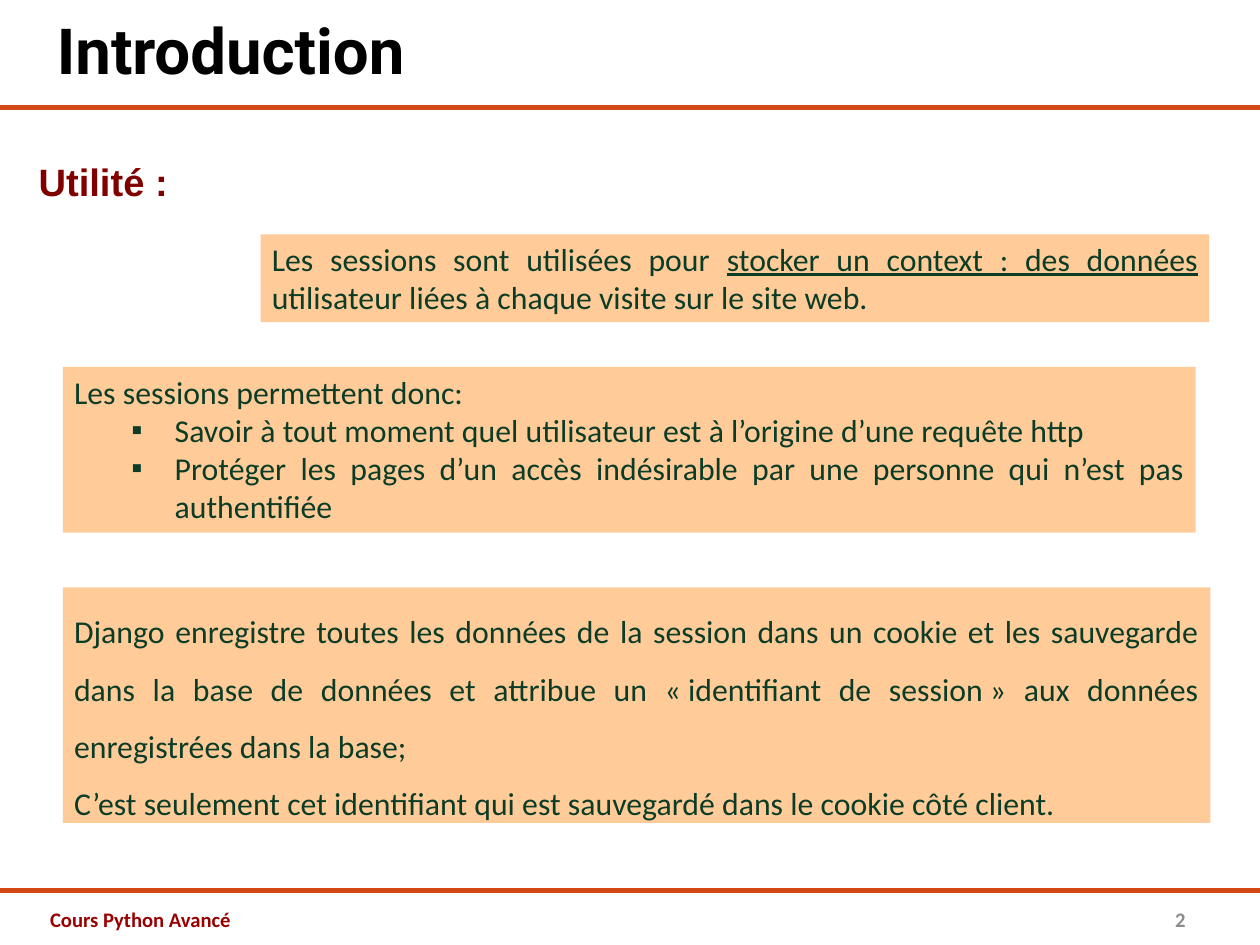
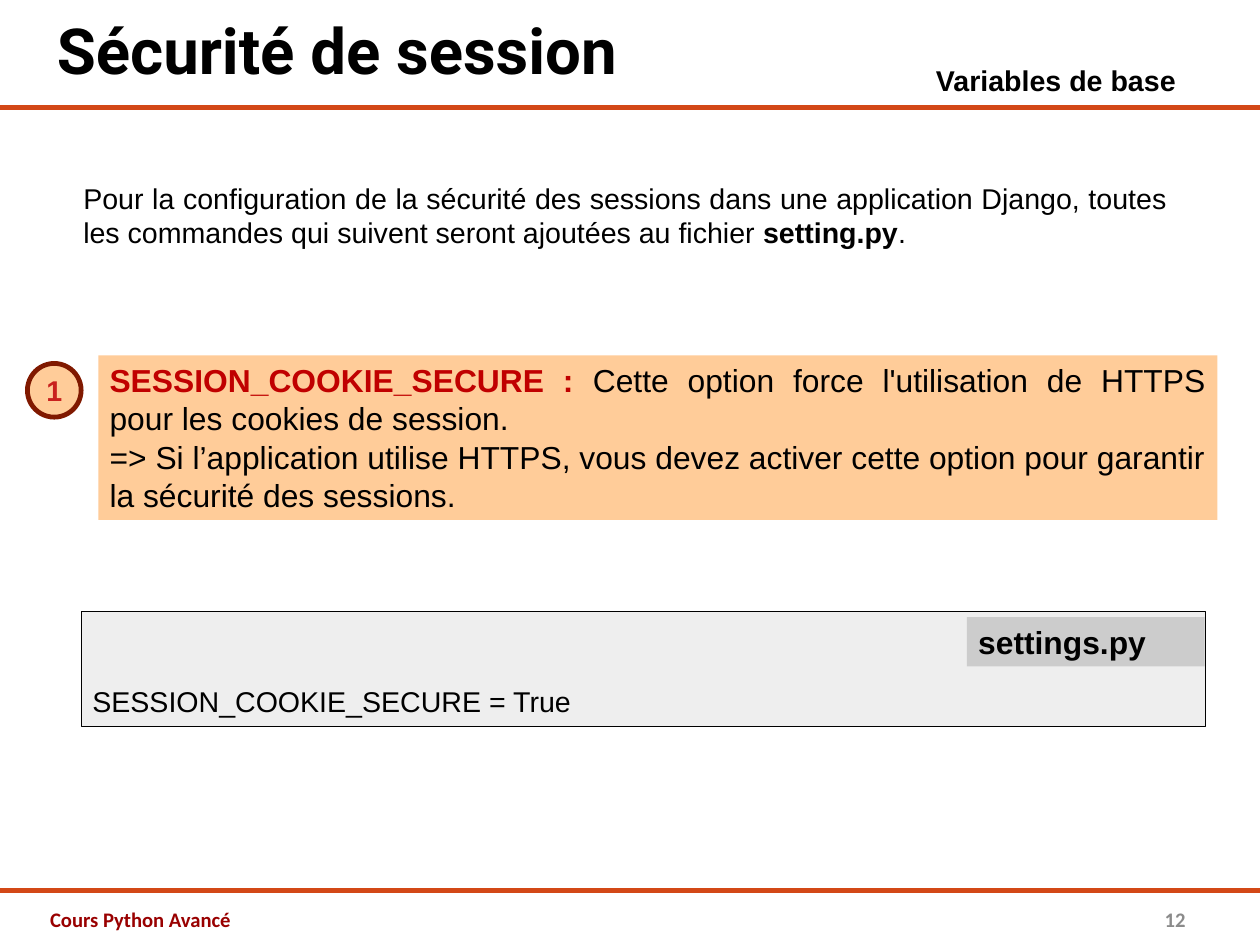
from pptx import Presentation
from pptx.dml.color import RGBColor
from pptx.enum.shapes import MSO_CONNECTOR, MSO_SHAPE
from pptx.enum.text import MSO_ANCHOR, PP_ALIGN
from pptx.oxml.ns import qn
from pptx.util import Cm, Inches, Pt
from lxml import etree

RECT, OVAL = MSO_SHAPE.RECTANGLE, MSO_SHAPE.OVAL
STRAIGHT = MSO_CONNECTOR.STRAIGHT
TOP, MIDDLE, BOTTOM = MSO_ANCHOR.TOP, MSO_ANCHOR.MIDDLE, MSO_ANCHOR.BOTTOM
LEFT, CENTER, RIGHT, JUSTIFY = (
    PP_ALIGN.LEFT, PP_ALIGN.CENTER, PP_ALIGN.RIGHT, PP_ALIGN.JUSTIFY)

BLACK = RGBColor(0x00, 0x00, 0x00)
ORANGE = RGBColor(0xD3, 0x48, 0x17)
PEACH = RGBColor(0xFF, 0xCC, 0x99)
GREEN = RGBColor(0x0C, 0x3C, 0x26)
WINE = RGBColor(0x99, 0x00, 0x00)
MAROON = RGBColor(0x80, 0x00, 0x00)
BROWN = RGBColor(0x80, 0x19, 0x00)
RED = RGBColor(0xC0, 0x00, 0x00)
SCARLET = RGBColor(0xC9, 0x21, 0x1E)
GREY = RGBColor(0x8B, 0x8B, 0x8B)
PALE = RGBColor(0xEE, 0xEE, 0xEE)
SILVER = RGBColor(0xCC, 0xCC, 0xCC)

HARD = chr(160)  # no-break space, used inside French quotes


def write(slide, box, paras, kind=None, fill=None, line=None, weight=3,
          size=18, font="Arial", color=BLACK, bold=False, align=LEFT,
          anchor=TOP, spacing=None, bullets=(), foot=0.05, wrap=True):
    """Add a box of text; a paragraph is a string or a list of (text, format)."""
    place = [Inches(n) for n in box]
    if kind is None:
        shape = slide.shapes.add_textbox(*place)
    else:
        shape = slide.shapes.add_shape(kind, *place)
        shape.shadow.inherit = False
        shape.fill.solid()
        shape.fill.fore_color.rgb = fill
        if line is None:
            shape.line.fill.background()
        else:
            shape.line.color.rgb = line
            shape.line.width = Pt(weight)
    frame = shape.text_frame
    frame.word_wrap = wrap
    frame.vertical_anchor = anchor
    frame.margin_bottom = Inches(foot)
    for i, runs in enumerate(paras):
        para = frame.add_paragraph() if i else frame.paragraphs[0]
        para.alignment = align
        if spacing:
            para.line_spacing = spacing
        if i in bullets:
            para.level = 1
            props = para._p.get_or_add_pPr()
            props.set("marL", str(Inches(0.88)))
            props.set("indent", str(Inches(-0.38)))
            etree.SubElement(props, qn("a:buFont")).set("typeface", "Arial")
            etree.SubElement(props, qn("a:buChar")).set("char", "▪")
        for text, style in [(runs, {})] if isinstance(runs, str) else runs:
            run = para.add_run()
            run.text = text
            run.font.name = font
            run.font.size = Pt(size)
            run.font.bold = style.get("bold", bold)
            run.font.underline = style.get("under", False)
            run.font.color.rgb = style.get("color", color)


deck = Presentation()
deck.slide_width, deck.slide_height = Cm(28), Cm(21)

# Title, rules and footer on every slide
slides = []
for title, number in [("Introduction", "2"), ("Sécurité de session", "12")]:
    slide = deck.slides.add_slide(deck.slide_layouts[6])
    slides.append(slide)
    write(slide, (0.4, -0.01, 9.55, 0.87), [title], size=40, font="Roboto",
          bold=True, anchor=BOTTOM, foot=0.1)
    for y in (0.94, 7.79):
        rule = slide.shapes.add_connector(
            STRAIGHT, 0, Inches(y), deck.slide_width, Inches(y))
        rule.line.color.rgb = ORANGE
        rule.line.width = Pt(3)
        etree.SubElement(rule._element.spPr, qn("a:effectLst"))
    small = dict(size=13, font="Calibri", bold=True, anchor=MIDDLE)
    write(slide, (0.34, 7.85, 3.49, 0.39), ["Cours Python Avancé"],
          color=WINE, **small)
    write(slide, (7.9, 7.85, 2.57, 0.39), [number],
          color=GREY, align=RIGHT, **small)

intro, secure = slides
panel = dict(kind=RECT, fill=PEACH, size=20, align=JUSTIFY)

# Introduction
note = dict(panel, font="Calibri", color=GREEN)
write(intro, (2.28, 2.05, 8.3, 0.77), [[
    ("Les sessions sont utilisées pour ", {}),
    ("stocker un context : des données ", {"under": True}),
    ("utilisateur liées à chaque visite sur le site web.", {}),
]], **note)
write(intro, (0.24, 1.34, 3.07, 0.5), ["Utilité :"],
      size=24, color=MAROON, bold=True)
write(intro, (0.55, 3.21, 9.91, 1.45), [
    "Les sessions permettent donc:",
    "Savoir à tout moment quel utilisateur est à l’origine d’une requête http",
    "Protéger les pages d’un accès indésirable par une personne "
    "qui n’est pas authentifiée",
], bullets=(1, 2), **note)
write(intro, (0.55, 5.14, 10.04, 2.06), [
    "Django enregistre toutes les données de la session dans un cookie et les "
    "sauvegarde dans la base de données et attribue un "
    f"«{HARD}identifiant de session{HARD}» aux données enregistrées "
    "dans la base; ",
    "C’est seulement cet identifiant qui est sauvegardé dans le cookie "
    "côté client.",
], spacing=1.5, **note)

# Sécurité de session
write(secure, (0.24, 3.18, 0.47, 0.47), ["1"], kind=OVAL, fill=PEACH,
      line=BROWN, color=SCARLET, bold=True, align=CENTER, anchor=MIDDLE,
      wrap=False)
write(secure, (0.86, 3.11, 9.79, 1.44), [
    [("SESSION_COOKIE_SECURE : ", {"bold": True, "color": RED}),
     ("Cette option force l'utilisation de HTTPS pour les cookies de session. ",
      {})],
    "=> Si l’application utilise HTTPS, vous devez activer cette option pour "
    "garantir la sécurité des sessions.",
], **panel)
write(secure, (0.71, 5.35, 9.84, 1.01), ["SESSION_COOKIE_SECURE = True"],
      kind=RECT, fill=PALE, line=BLACK, weight=0.5, anchor=BOTTOM, foot=0.08)
write(secure, (8.46, 5.4, 2.08, 0.43), ["settings.py"],
      kind=RECT, fill=SILVER, size=20, bold=True, align=JUSTIFY)
write(secure, (0.63, 1.53, 9.68, 1.01), [[
    ("Pour la configuration de la sécurité des sessions dans une application "
     "Django, toutes les commandes qui suivent seront ajoutées au fichier ", {}),
    ("setting.py", {"bold": True}),
    (".", {}),
]], align=JUSTIFY)
write(secure, (8.09, 0.5, 2.81, 0.4), ["Variables de base"], bold=True)

deck.save("out.pptx")
